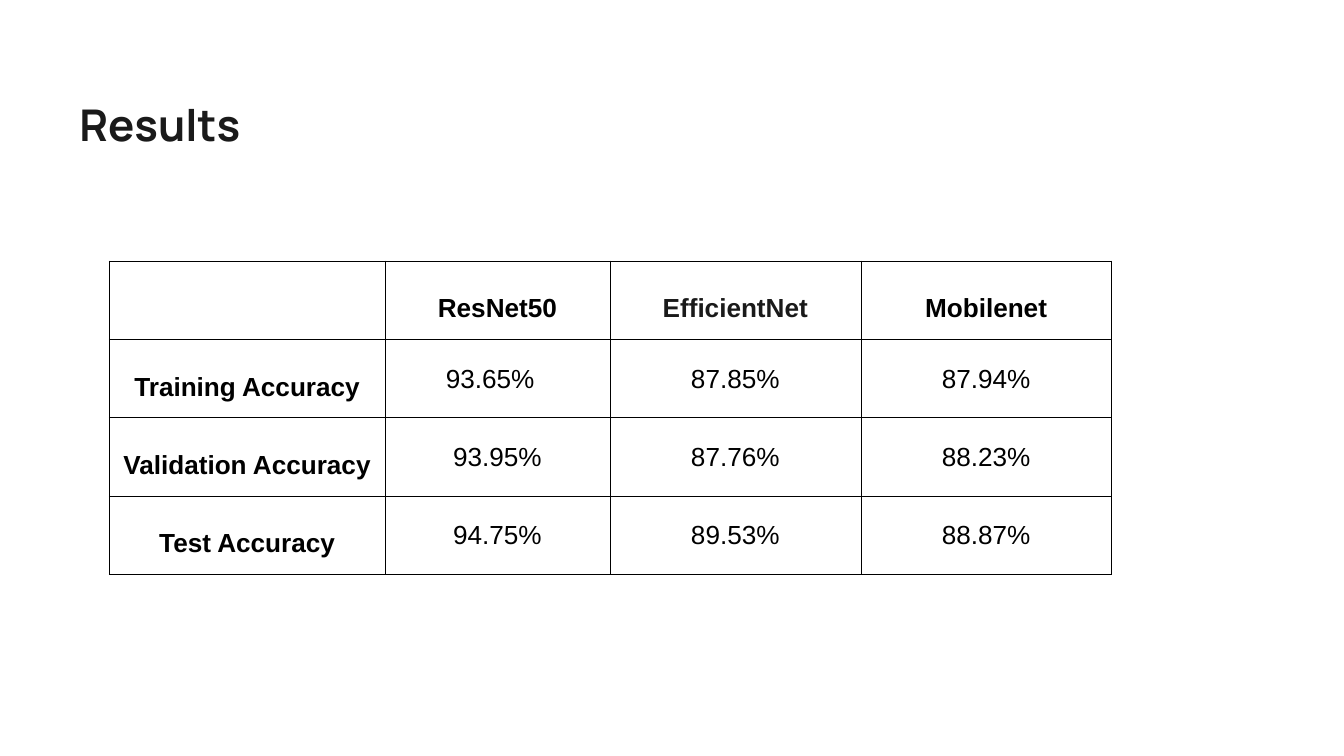
import pptx
import pptx.dml.color
import pptx.enum.text
import pptx.oxml
import pptx.oxml.ns
import pptx.util

Pt = pptx.util.Pt
RGBColor = pptx.dml.color.RGBColor
PP_ALIGN = pptx.enum.text.PP_ALIGN
MSO_ANCHOR = pptx.enum.text.MSO_ANCHOR

BLACK = RGBColor(0x00, 0x00, 0x00)
CHARCOAL = RGBColor(0x1A, 0x1A, 0x1A)
WHITE = RGBColor(0xFF, 0xFF, 0xFF)

HEADING = "Results"
ACCURACIES = [
    ["", "ResNet50", "EfficientNet", "Mobilenet"],
    ["Training Accuracy", "93.65%", "87.85%", "87.94%"],
    ["Validation Accuracy", "93.95%", "87.76%", "88.23%"],
    ["Test Accuracy", "94.75%", "89.53%", "88.87%"],
]
COLUMN_WIDTHS = [295.5, 241, 268.8, 268.8]
ROW_HEIGHT = 83.9
CELL_MARGIN = 7.2
EXTRA_RIGHT_MARGIN = {(1, 1): 15.6}
TEXT_COLOURS = {(0, 2): CHARCOAL}


def style_text(paragraph, font_name, size, colour, bold, line_spacing, alignment):
    paragraph.alignment = alignment
    paragraph.line_spacing = Pt(line_spacing)
    for run in paragraph.runs:
        run.font.name = font_name
        run.font.size = Pt(size)
        run.font.bold = bold
        run.font.color.rgb = colour


def add_borders(cell, colour, width):
    properties = cell._tc.get_or_add_tcPr()
    for side in ("lnL", "lnR", "lnT", "lnB"):
        properties.append(pptx.oxml.parse_xml(
            f'<a:{side} {pptx.oxml.ns.nsdecls("a")} w="{Pt(width)}">'
            f'<a:solidFill><a:srgbClr val="{colour}"/></a:solidFill></a:{side}>'
        ))


def add_heading(slide):
    heading = slide.shapes.title
    heading.left, heading.top = Pt(85), Pt(104.4)
    heading.width, heading.height = Pt(1196.6), Pt(71.3)
    frame = heading.text_frame
    frame.text = HEADING
    frame.auto_size = pptx.enum.text.MSO_AUTO_SIZE.NONE
    frame.vertical_anchor = MSO_ANCHOR.TOP
    frame.margin_left = frame.margin_right = 0
    frame.margin_top = frame.margin_bottom = 0
    style_text(frame.paragraphs[0], "Manrope", 46.8, CHARCOAL, True, 56.2, PP_ALIGN.LEFT)


def add_accuracy_table(slide):
    row_count = len(ACCURACIES)
    table = slide.shapes.add_table(
        row_count, len(COLUMN_WIDTHS), Pt(116.9), Pt(279.4),
        Pt(sum(COLUMN_WIDTHS)), Pt(ROW_HEIGHT * row_count),
    ).table
    table.first_row = table.horz_banding = False
    for column, width in zip(table.columns, COLUMN_WIDTHS):
        column.width = Pt(width)

    for r, labels in enumerate(ACCURACIES):
        table.rows[r].height = Pt(ROW_HEIGHT)
        for c, label in enumerate(labels):
            cell = table.cell(r, c)
            add_borders(cell, BLACK, 0.37)
            cell.fill.solid()
            cell.fill.fore_color.rgb = WHITE
            cell.vertical_anchor = MSO_ANCHOR.MIDDLE
            cell.margin_left = cell.margin_top = cell.margin_bottom = Pt(CELL_MARGIN)
            cell.margin_right = Pt(CELL_MARGIN + EXTRA_RIGHT_MARGIN.get((r, c), 0))
            cell.text_frame.text = label
            is_header = r == 0 or c == 0
            style_text(
                cell.text_frame.paragraphs[0], "Arial", 28,
                TEXT_COLOURS.get((r, c), BLACK), is_header,
                50.4 if is_header else 33.6, PP_ALIGN.CENTER,
            )


def main():
    deck = pptx.Presentation()
    deck.slide_width, deck.slide_height = Pt(1440), Pt(810)
    slide = deck.slides.add_slide(deck.slide_layouts.get_by_name("Title Only"))
    slide.background.fill.solid()
    slide.background.fill.fore_color.rgb = WHITE
    add_heading(slide)
    add_accuracy_table(slide)
    deck.save("out.pptx")


if __name__ == "__main__":
    main()
